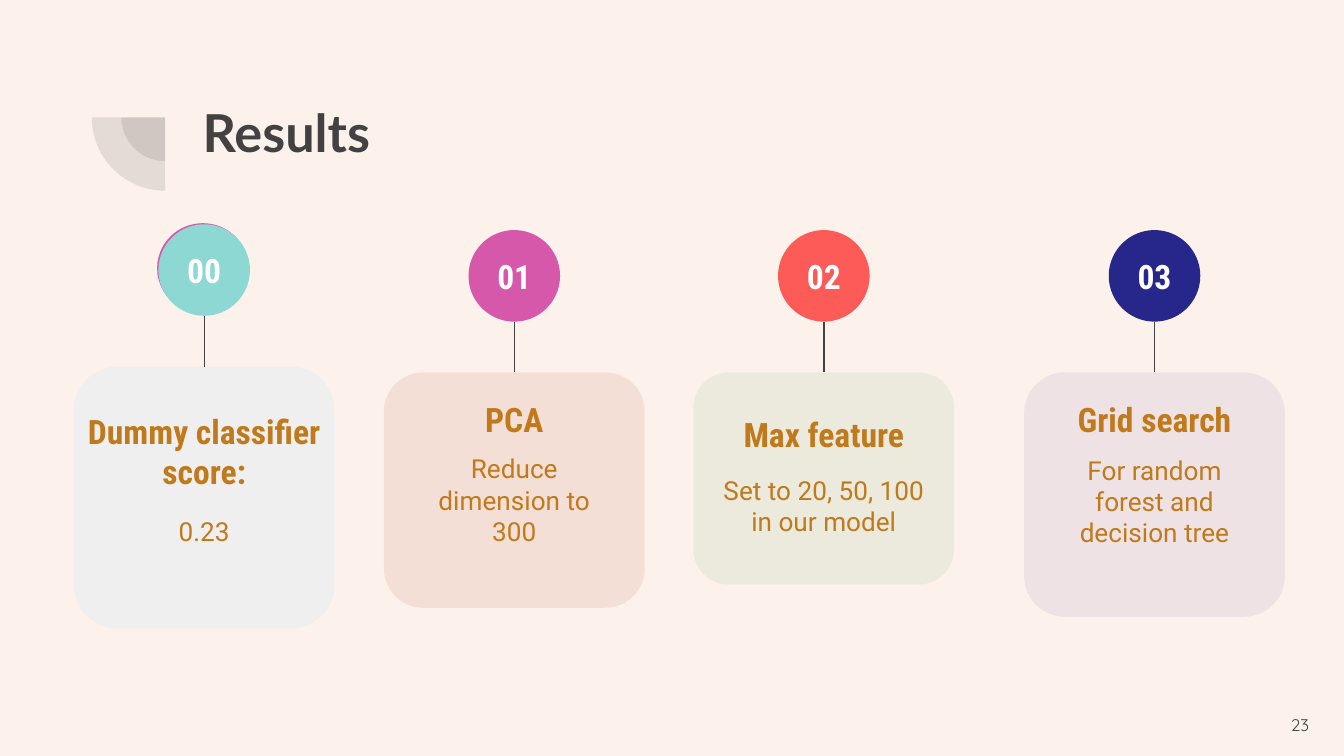
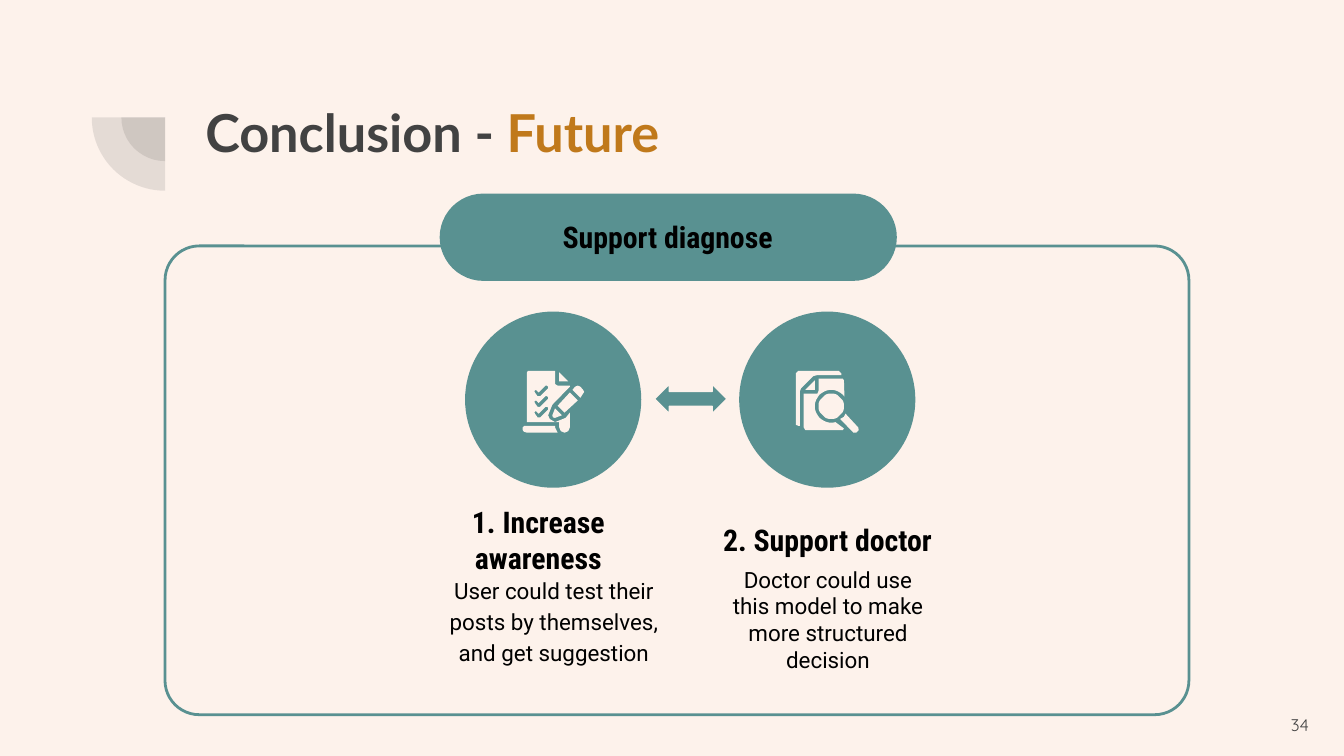
import math

from lxml import etree
from pptx import Presentation
from pptx import util as u
from pptx.dml.color import RGBColor
from pptx.enum import shapes, text
from pptx.oxml.ns import qn

Cm = u.Cm
KIND = shapes.MSO_SHAPE
ALIGN = text.PP_ALIGN
ANCHOR = text.MSO_ANCHOR

COLORS = {
    "background": "FDF2EB",
    "ink": "424242",
    "accent": "C0791B",
    "black": "000000",
    "white": "FFFFFF",
    "teal": "599191",
    "mint": "8DD8D3",
    "magenta": "D558AB",
    "coral": "FD5B58",
    "navy": "27278B",
    "gray": "EFEFEF",
    "rust": "BE634C",
    "green": "72B786",
    "violet": "9278B5",
}

FORMATS = {
    "title": {"name": "Lato", "size": u.Pt(28), "bold": True},
    "number": {"name": "Quicksand", "size": u.Pt(9)},
    "card heading": {"name": "Roboto Condensed", "size": u.Pt(18), "bold": True},
    "card body": {"name": "Roboto", "size": u.Pt(14)},
    "goal heading": {"name": "Roboto Condensed", "size": u.Pt(16), "bold": True},
    "goal body": {"name": "Roboto", "size": u.Pt(12)},
}

CARD_WIDTH = 4.93
BADGE_SIZE = 1.73
BADGE_RISE = 2.69
TINT = 13

# Icon outlines in tenths of a millimetre
CHECK = [(46, 28), (48, 30), (48, 33), (33, 48), (28, 48), (23, 41),
         (22, 38), (25, 36), (30, 41), (43, 28)]
CHECKLIST_PAGE = [(10, 0), (8, 3), (8, 97), (69, 97), (69, 107), (72, 114),
                  (79, 117), (86, 114), (89, 107), (89, 79), (81, 89), (61, 97),
                  (51, 91), (48, 84), (56, 64), (89, 30), (89, 28), (66, 28),
                  (61, 25), (61, 0)]
CHECKLIST_ICON = [
    [CHECKLIST_PAGE] + [[(x, y + 20 * row) for x, y in CHECK] for row in range(3)],
    [[(94, 36), (99, 30), (104, 28), (109, 30), (114, 36), (116, 40),
      (114, 43), (109, 51)]],
    [[(61, 71), (56, 84), (57, 88), (61, 89), (74, 84)]],
    [[(89, 41), (66, 66), (79, 79), (104, 56)]],
    [[(69, 3), (69, 20), (86, 20)]],
    [[(3, 104), (0, 107), (0, 112), (2, 115), (8, 117), (66, 117),
      (61, 107), (61, 104)]],
]


def ring(radius, start, stop, step):
    """Points around the centre of the magnifier, angles in degrees."""
    angles = [math.radians(a) for a in range(start, stop, step)]
    return [(67 + radius * math.cos(a), 67 + radius * math.sin(a)) for a in angles]


REPORT_ICON = [
    [[(5, 0), (0, 5), (0, 102), (5, 104), (8, 104), (8, 38), (10, 33), (33, 10),
      (41, 8), (86, 8), (86, 5), (81, 0)]],
    [[(36, 18), (18, 36), (36, 36)]],
    [ring(24, 0, 360, 10)],
    [[(43, 15), (43, 38), (41, 43), (15, 43), (15, 107), (18, 112), (89, 112),
      (91, 109)] + ring(31, 75, 326, 10) + [(91, 18), (89, 15)]],
    [[(94, 81), (91, 87), (84, 91), (109, 117), (114, 117), (119, 112), (118, 107)]],
]


def rgb(color):
    return RGBColor.from_string(COLORS[color])


def box(left, top, width, height):
    return [Cm(value) for value in (left, top, width, height)]


def paint(shape, fill, line=None, width=0.75, opacity=100):
    shape.shadow.inherit = False
    shape.fill.solid()
    shape.fill.fore_color.rgb = rgb(fill)
    if opacity < 100:
        tone = shape._element.spPr.find(".//" + qn("a:srgbClr"))
        etree.SubElement(tone, qn("a:alpha")).set("val", str(opacity * 1000))
    if line:
        shape.line.color.rgb = rgb(line)
        shape.line.width = u.Pt(width)
    else:
        shape.line.fill.background()


def add_figure(slide, kind, place, fill, adjust=(), **look):
    shape = slide.shapes.add_shape(kind, *box(*place))
    for index, value in enumerate(adjust):
        shape.adjustments[index] = value
    paint(shape, fill, **look)
    return shape


def write(shape, runs, style, align=ALIGN.CENTER, anchor=ANCHOR.TOP,
          inset=(0.25, 0.25), spacing=None):
    """Fill a shape with one paragraph made of (wording, colour) runs."""
    frame = shape.text_frame
    across, down = (Cm(value) for value in inset)
    layout = {"word_wrap": True, "auto_size": text.MSO_AUTO_SIZE.NONE,
              "vertical_anchor": anchor, "margin_left": across,
              "margin_right": across, "margin_top": down, "margin_bottom": down}
    for name, value in layout.items():
        setattr(frame, name, value)
    paragraph = frame.paragraphs[0]
    paragraph.alignment = align
    if spacing:
        paragraph.line_spacing = spacing
    for wording, color in runs:
        run = paragraph.add_run()
        run.text = wording
        for name, value in FORMATS[style].items():
            setattr(run.font, name, value)
        run.font.color.rgb = rgb(color)


def add_label(slide, place, wording, color, style, **layout):
    write(slide.shapes.add_textbox(*box(*place)), [(wording, color)], style, **layout)


def add_stem(slide, x, top, bottom):
    stem = slide.shapes.add_connector(
        shapes.MSO_CONNECTOR.STRAIGHT, Cm(x), Cm(top), Cm(x), Cm(bottom))
    stem.line.color.rgb = rgb("ink")
    stem.line.width = u.Pt(0.75)
    etree.SubElement(stem._element.spPr, qn("a:effectLst"))


def add_icon(slide, left, top, parts):
    for outlines in parts:
        first, *others = outlines
        builder = slide.shapes.build_freeform(*first[0], scale=Cm(0.01))
        builder.add_line_segments(first[1:])
        for outline in others:
            builder.move_to(*outline[0])
            builder.add_line_segments(outline[1:])
        paint(builder.convert_to_shape(Cm(left), Cm(top)), "background")


def add_titled_slide(deck, title_left, title, number):
    slide = deck.slides.add_slide(deck.slide_layouts[5])
    for size in (1.65, 2.77):
        quarter = add_figure(slide, KIND.PIE,
                             (3.12 - size / 2, 2.22 - size / 2, size, size),
                             "ink", adjust=(108, 162), opacity=TINT)
        quarter.rotation = 270
    heading = slide.shapes.title
    heading.left, heading.top, heading.width, heading.height = box(
        title_left, 1.65, 19.53, 2.77)
    write(heading, title, "title", align=ALIGN.LEFT)
    add_label(slide, (23.47, 13.16, 1.52, 1.09), number, "ink", "number",
              align=ALIGN.RIGHT, anchor=ANCHOR.MIDDLE)
    return slide


def add_card(slide, number, center, top, height, tint, opacity, badge, heading, body):
    """heading and body are (wording, top, width, height)."""
    add_figure(slide, KIND.ROUNDED_RECTANGLE,
               (center - CARD_WIDTH / 2, top, CARD_WIDTH, height),
               tint, adjust=[0.167], opacity=opacity)
    parts = (("card heading", heading), ("card body", body))
    for style, (wording, y, width, depth) in parts:
        add_label(slide, (center - width / 2, y, width, depth), wording, "accent", style)
    badge_top = top - BADGE_RISE
    add_stem(slide, center, badge_top + BADGE_SIZE, top)
    disc = add_figure(slide, KIND.OVAL,
                      (center - BADGE_SIZE / 2, badge_top, BADGE_SIZE, BADGE_SIZE), badge)
    write(disc, [(number, "white")], "card heading", anchor=ANCHOR.MIDDLE, inset=(0, 0))


def build_results(deck):
    slide = add_titled_slide(deck, 3.58, [("Results", "ink")], "23")
    add_figure(slide, KIND.OVAL, (2.97, 4.22, BADGE_SIZE, 1.7), "magenta")
    cards = [
        (3.86, 6.93, 4.95, "gray", 100, "mint",
         ("Dummy classifier score:", 7.52, 6.05, 1.0), ("0.23", 9.5, 4.29, 3.1)),
        (9.72, 7.04, 4.45, "rust", TINT, "magenta",
         ("PCA", 7.29, 4.11, 1.02), ("Reduce dimension to 300", 8.31, 4.29, 3.12)),
        (15.57, 7.04, 4.01, "green", TINT, "coral",
         ("Max feature", 7.57, 4.11, 1.02),
         ("Set to 20, 50, 100 in our model", 8.71, 4.6, 2.03)),
        (21.82, 7.04, 4.62, "violet", TINT, "navy",
         ("Grid search", 7.29, 4.11, 1.02),
         ("For random forest and decision tree", 8.33, 4.11, 1.9)),
    ]
    for index, card in enumerate(cards):
        add_card(slide, f"{index:02}", *card)


def build_conclusion(deck):
    slide = add_titled_slide(
        deck, 3.63, [("Conclusion - ", "ink"), ("Future", "accent")], "34")
    add_figure(slide, KIND.ROUNDED_RECTANGLE, (3.12, 4.65, 19.35, 8.86), "background",
               adjust=[0.073], line="teal", width=1.5)
    add_figure(slide, KIND.ROUNDED_RECTANGLE, (8.31, 3.66, 8.64, 1.65), "teal",
               adjust=[0.5])
    middle = {"anchor": ANCHOR.MIDDLE, "inset": (0.5, 0)}
    add_label(slide, (9.47, 4.01, 6.3, 0.91), "Support diagnose", "black",
              "goal heading", **middle)
    add_figure(slide, KIND.LEFT_RIGHT_ARROW, (12.37, 7.26, 1.37, 0.56), "teal",
               adjust=(0.5, 0.5), line="background")
    goals = [
        (8.79, (7.19, 5.97, "1. Increase awareness"),
         (7.98, "User could test their posts by themselves, and get suggestion", 1.15),
         (9.88, CHECKLIST_ICON)),
        (13.97, (12.95, 5.38, "2. Support doctor"),
         (13.16, "Doctor could use this model to make more structured decision", None),
         (15.04, REPORT_ICON)),
    ]
    for disc_left, heading, body, icon in goals:
        add_figure(slide, KIND.OVAL, (disc_left, 5.89, 3.33, 3.33), "teal")
        left, width, wording = heading
        add_label(slide, (left, 9.75, width, 0.91), wording, "black",
                  "goal heading", **middle)
        left, wording, spacing = body
        add_label(slide, (left, 10.67, 4.98, 2.08), wording, "black",
                  "goal body", spacing=spacing, **middle)
        left, parts = icon
        add_icon(slide, left, 7.01, parts)


def main():
    deck = Presentation()
    deck.slide_width, deck.slide_height = Cm(25.4), Cm(14.29)
    backdrop = deck.slide_master.background.fill
    backdrop.solid()
    backdrop.fore_color.rgb = rgb("background")
    build_results(deck)
    build_conclusion(deck)
    deck.save("out.pptx")


if __name__ == "__main__":
    main()
